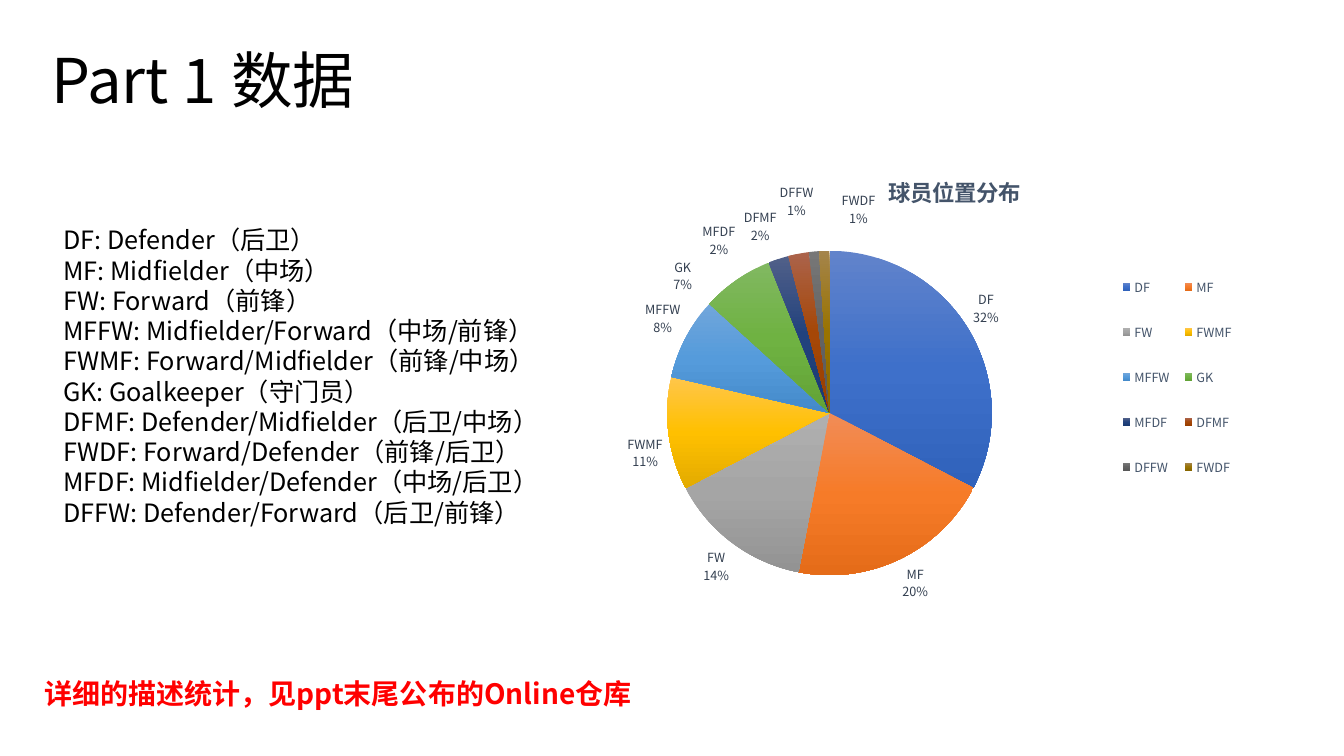
"""Build the player position slide with its pie chart."""
from dataclasses import dataclass

from lxml.etree import SubElement
from pptx import Presentation
from pptx.chart.data import CategoryChartData
from pptx.dml.color import RGBColor
from pptx.enum.chart import XL_CHART_TYPE as Chart, XL_LEGEND_POSITION as LegendPos
from pptx.enum.text import MSO_ANCHOR as Anchor, PP_ALIGN as Align
from pptx.oxml import parse_xml
from pptx.oxml.ns import nsdecls, qn
from pptx.util import Inches, Pt


@dataclass(frozen=True)
class Theme:
    """Colours and type sizes of the slide."""
    font: str = "Noto Sans CJK SC"
    ink: str = "000000"
    alert: str = "FF0000"
    slate: str = "44546A"
    label: str = "333F50"
    title: int = 44
    body: int = 18
    note: int = 20
    chart_title: int = 16
    chart_base: int = 10
    chart_small: int = 9
    pitch: float = 1.2


@dataclass(frozen=True)
class TextBlock:
    """A text box with one style."""
    box: tuple[float, float, float, float]
    lines: tuple[str, ...]
    size: int
    color: str
    bold: bool = False
    align: Align = Align.LEFT
    anchor: Anchor = Anchor.TOP
    spacing: object = None


@dataclass(frozen=True)
class Slice:
    """A pie slice with its gradient and label shift."""
    name: str
    share: int
    stops: tuple[str, str, str]
    shift: tuple[float, float] | None = None


T = Theme()

BLOCKS = (
    TextBlock((0.41, 0.1, 11.5, 1.45), ("Part 1 数据",), T.title, T.ink,
              anchor=Anchor.MIDDLE, spacing=0.9),
    TextBlock((0.53, 2.18, 6.67, 3.13), (
        "DF: Defender（后卫）",
        "MF: Midfielder（中场）",
        "FW: Forward（前锋）",
        "MFFW: Midfielder/Forward（中场/前锋）",
        "FWMF: Forward/Midfielder（前锋/中场）",
        "GK: Goalkeeper（守门员）",
        "DFMF: Defender/Midfielder（后卫/中场）",
        "FWDF: Forward/Defender（前锋/后卫）",
        "MFDF: Midfielder/Defender（中场/后卫）",
        "DFFW: Defender/Forward（后卫/前锋）",
    ), T.body, T.ink, align=Align.JUSTIFY, spacing=Pt(T.body * T.pitch)),
    TextBlock((0.34, 6.66, 7.44, 0.44), ("详细的描述统计，见ppt末尾公布的Online仓库",),
              T.note, T.alert, bold=True, spacing=Pt(T.note * T.pitch)),
)

SLICES = (
    Slice("DF", 32, ("6183CB", "3E70CA", "3062BB")),
    Slice("MF", 20, ("F18C57", "F67B28", "E56C19")),
    Slice("FW", 14, ("AFAFAF", "A5A5A5", "939393")),
    Slice("FWMF", 11, ("FFC64B", "FFC000", "E3AB00")),
    Slice("MFFW", 8, ("71A6DB", "559BDB", "448ACA")),
    Slice("GK", 7, ("81B861", "6FB242", "62A336"), (-0.06, 0.04)),
    Slice("MFDF", 2, ("516089", "22427D", "1A3A72"), (-0.06, 0.01)),
    Slice("DFMF", 2, ("AB634B", "A54707", "983E00"), (-0.03, -0.01)),
    Slice("DFFW", 1, ("777777", "636363", "585858"), (0, -0.06)),
    Slice("FWDF", 1, ("A4844B", "997300", "886600"), (0.05, -0.04)),
)


def assign(obj: object, values: dict) -> None:
    """Set each named attribute on the object."""
    for name, value in values.items():
        setattr(obj, name, value)


def style_font(font, size: int, color: str, bold: bool = False) -> None:
    """Apply the theme font in a size and colour."""
    assign(font, {"name": T.font, "size": Pt(size), "bold": bold})
    font.color.rgb = RGBColor.from_string(color)


def add_run(p, text: str, size: int, color: str, bold: bool = False) -> None:
    """Add a styled run with its East Asian font."""
    r = p.add_run()
    r.text = text
    style_font(r.font, size, color, bold)
    SubElement(r._r.get_or_add_rPr(), qn("a:ea"), typeface=T.font)


def add_text(s, block: TextBlock) -> None:
    """Draw a text block."""
    tf = s.shapes.add_textbox(*map(Inches, block.box)).text_frame
    assign(tf, {"word_wrap": True, "vertical_anchor": block.anchor})
    for i, line in enumerate(block.lines):
        p = tf.add_paragraph() if i else tf.paragraphs[0]
        assign(p, {"alignment": block.align, "line_spacing": block.spacing})
        add_run(p, line, block.size, block.color, block.bold)


def layout_xml(target: str = "", edge: bool = True, **fractions: float) -> str:
    """Return a manual chart layout."""
    inner = f'<c:layoutTarget val="{target}"/>' if target else ""
    if edge:
        inner += '<c:xMode val="edge"/><c:yMode val="edge"/>'
    inner += "".join(f'<c:{k} val="{v}"/>' for k, v in fractions.items())
    return f'<c:layout {nsdecls("c")}><c:manualLayout>{inner}</c:manualLayout></c:layout>'


def place(el, xml: str, after: str = "") -> None:
    """Replace the layout of a chart part."""
    for old in el.findall(qn("c:layout")):
        el.remove(old)
    if after:
        el.find(qn(after)).addnext(parse_xml(xml))
    else:
        el.insert(0, parse_xml(xml))


def point_xml(i: int, item: Slice) -> str:
    """Return a slice with its vertical gradient."""
    stops = "".join(f'<a:gs pos="{n * 50000}"><a:srgbClr val="{c}"/></a:gs>'
                    for n, c in enumerate(item.stops))
    return (f'<c:dPt {nsdecls("c", "a")}><c:idx val="{i}"/><c:bubble3D val="0"/><c:spPr>'
            f'<a:gradFill><a:gsLst>{stops}</a:gsLst><a:lin ang="5400000" scaled="0"/></a:gradFill>'
            '<a:ln><a:noFill/></a:ln></c:spPr></c:dPt>')


def labels_xml() -> str:
    """Return the outside labels with their shifts."""
    flags = {"LegendKey": 0, "Val": 1, "CatName": 1, "SerName": 0, "Percent": 0, "BubbleSize": 0}
    shows = "".join(f'<c:show{k} val="{v}"/>' for k, v in flags.items())
    shared = ('<c:numFmt formatCode="0&quot;%&quot;" sourceLinked="0"/>'
              '<c:spPr><a:noFill/><a:ln><a:noFill/></a:ln></c:spPr>'
              f'<c:txPr><a:bodyPr/><a:p><a:pPr><a:defRPr sz="{T.chart_small * 100}" b="0">'
              f'<a:solidFill><a:srgbClr val="{T.label}"/></a:solidFill>'
              f'<a:latin typeface="{T.font}"/><a:ea typeface="{T.font}"/></a:defRPr></a:pPr>'
              '<a:endParaRPr lang="zh-CN"/></a:p></c:txPr><c:dLblPos val="outEnd"/>'
              f'{shows}<c:separator>\n</c:separator>')
    moved = "".join(
        f'<c:dLbl><c:idx val="{i}"/>{layout_xml(edge=False, x=d.shift[0], y=d.shift[1])}{shared}</c:dLbl>'
        for i, d in enumerate(SLICES) if d.shift)
    return (f'<c:dLbls {nsdecls("c", "a")}>{moved}{shared}'
            '<c:showLeaderLines val="0"/></c:dLbls>')


def add_pie(s) -> None:
    """Draw the position pie chart."""
    data = CategoryChartData()
    data.categories = [d.name for d in SLICES]
    data.add_series("Series 1", [d.share for d in SLICES])
    box = map(Inches, (5.7, 1.55, 6.83, 4.47))
    chart = s.shapes.add_chart(Chart.PIE, *box, data).chart
    assign(chart, {"has_title": True, "has_legend": True})
    style_font(chart.font, T.chart_base, T.ink)
    chart.plots[0].vary_by_categories = True

    title = chart.chart_title
    add_run(title.text_frame.paragraphs[0], "球员位置分布", T.chart_title, T.slate, True)
    place(title._element, layout_xml(x=0.45, y=0.03), "c:tx")

    legend = chart.legend
    assign(legend, {"position": LegendPos.BOTTOM, "include_in_layout": False})
    style_font(legend.font, T.chart_small, T.slate)
    place(legend._element, layout_xml(x=0.78, y=0.21, w=0.19, h=0.56), "c:legendPos")

    ser = chart.plots[0].series[0]._element
    cat = ser.find(qn("c:cat"))
    for xml in (*(point_xml(i, d) for i, d in enumerate(SLICES)), labels_xml()):
        cat.addprevious(parse_xml(xml))
    area = chart._chartSpace.chart.plotArea
    place(area, layout_xml("inner", x=0.12, y=0.21, w=0.5, h=0.72))


def main() -> None:
    """Build and save the slide."""
    prs = Presentation()
    assign(prs, {"slide_width": Inches(13.33), "slide_height": Inches(7.5)})
    s = prs.slides.add_slide(prs.slide_layouts[6])
    for block in BLOCKS:
        add_text(s, block)
    add_pie(s)
    prs.save("out.pptx")


if __name__ == "__main__":
    main()
